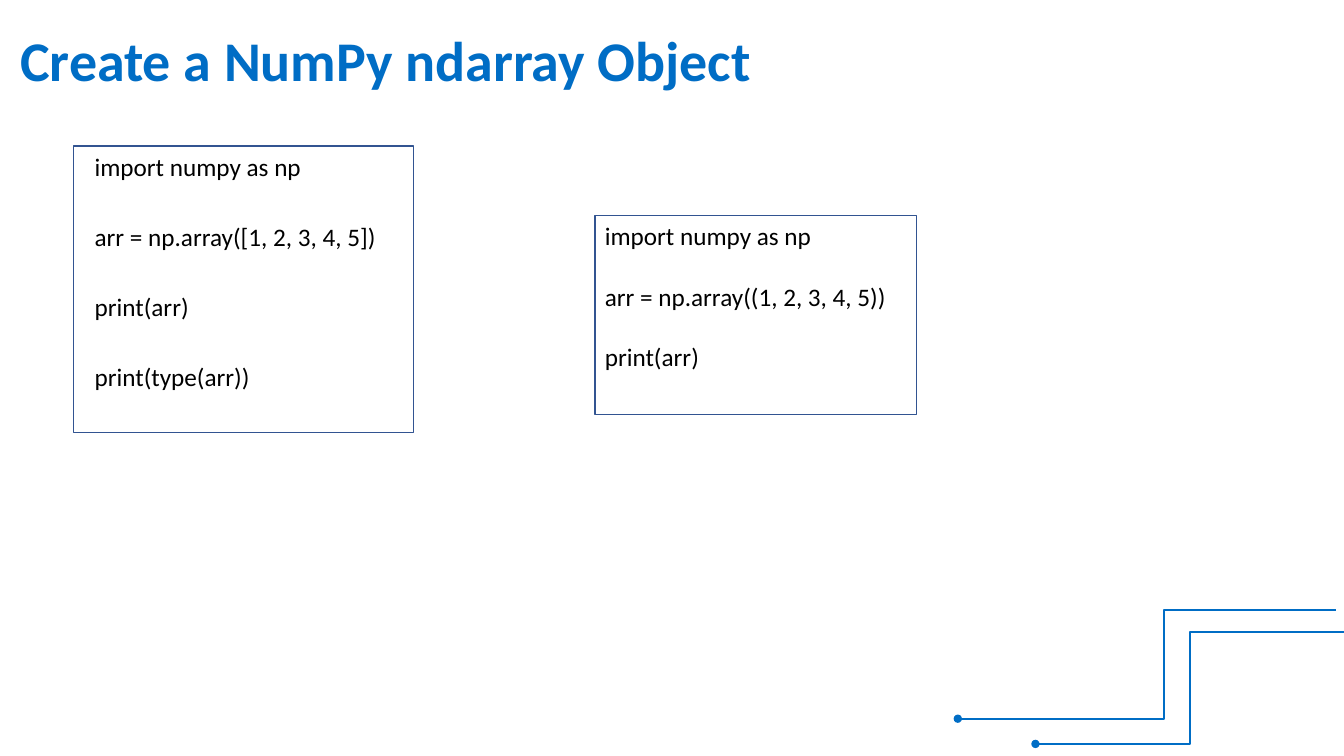
import pptx
import pptx.dml.color
import pptx.enum.shapes
import pptx.enum.text
import pptx.oxml
import pptx.oxml.ns
import pptx.util
from pptx.util import Inches

BLUE = "006DC5"
FRAME_BLUE = "325491"
BLACK = "000000"


def color(value):
    return pptx.dml.color.RGBColor.from_string(value)


def add_element(parent, tag, **values):
    child = pptx.oxml.parse_xml(f"<{tag} {pptx.oxml.ns.nsdecls('a')}/>")
    for name, value in values.items():
        child.set(name, value)
    parent.append(child)
    return child


def format_paragraph(para, size, fill, bold=False):
    para.alignment = pptx.enum.text.PP_ALIGN.LEFT
    para.line_spacing = 1.0
    values = {"name": "Calibri", "size": pptx.util.Pt(size), "bold": bold}
    for name, value in values.items():
        setattr(para.font, name, value)
    para.font.color.rgb = color(fill)


def format_frame(frame, wrap):
    values = {
        "word_wrap": wrap,
        "auto_size": pptx.enum.text.MSO_AUTO_SIZE.NONE,
        "vertical_anchor": pptx.enum.text.MSO_ANCHOR.TOP,
        "margin_left": Inches(0.1),
        "margin_right": Inches(0.1),
        "margin_top": Inches(0.05),
        "margin_bottom": Inches(0.05),
    }
    for name, value in values.items():
        setattr(frame, name, value)


def set_title(page, text, left, top, width, height):
    title = page.shapes.title
    title.left, title.top = Inches(left), Inches(top)
    title.width, title.height = Inches(width), Inches(height)
    format_frame(title.text_frame, True)
    title.text_frame.text = text
    format_paragraph(title.text_frame.paragraphs[0], 40, BLUE, bold=True)


def add_code(page, lines, position, gap, wrap):
    box = page.shapes.add_textbox(*map(Inches, position))
    frame = box.text_frame
    format_frame(frame, wrap)
    for index, line in enumerate(lines):
        para = frame.add_paragraph() if index else frame.paragraphs[0]
        para.text = line
        format_paragraph(para, 18, BLACK)
        if index:
            para.space_before = pptx.util.Pt(gap)


def add_border(page, position):
    border = page.shapes.add_shape(
        pptx.enum.shapes.MSO_SHAPE.RECTANGLE, *map(Inches, position))
    border.shadow.inherit = False
    border.fill.background()
    border.line.color.rgb = color(FRAME_BLUE)
    border.line.width = pptx.util.Pt(1)


def add_circuit(page, start, end, bend):
    circuit = page.shapes.add_connector(
        pptx.enum.shapes.MSO_CONNECTOR.ELBOW, *map(Inches, start + end))
    circuit.line.color.rgb = color(BLUE)
    circuit.line.width = pptx.util.Pt(1.5)
    properties = circuit._element.spPr
    add_element(circuit.line._get_or_add_ln(), "a:tailEnd", type="oval")
    add_element(properties, "a:effectLst")
    guides = properties.prstGeom.get_or_add_avLst()
    add_element(guides, "a:gd", name="adj1", fmla=f"val {round(bend * 100000)}")


def main():
    deck = pptx.Presentation()
    deck.slide_width, deck.slide_height = Inches(13.33), Inches(7.5)
    page = deck.slides.add_slide(deck.slide_layouts.get_by_name("Title Only"))
    set_title(page, "Create a NumPy ndarray Object", 0.1, 0.2, 10.92, 0.77)

    add_circuit(page, (13.25, 6.05), (9.5, 7.13), 0.455)
    add_circuit(page, (13.33, 6.27), (10.27, 7.38), 0.5)

    list_code = ["import numpy as np", "arr = np.array([1, 2, 3, 4, 5])",
                 "print(arr)", "print(type(arr))"]
    add_code(page, list_code, (0.84, 1.45, 3.07, 2.52), 28.5, True)
    add_border(page, (0.73, 1.45, 3.37, 2.84))

    tuple_code = ["import numpy as np", "arr = np.array((1, 2, 3, 4, 5))",
                  "print(arr)"]
    add_code(page, tuple_code, (5.9, 2.14, 3.02, 1.62), 21.5, False)
    add_border(page, (5.9, 2.14, 3.19, 1.97))

    deck.save("out.pptx")


if __name__ == "__main__":
    main()
